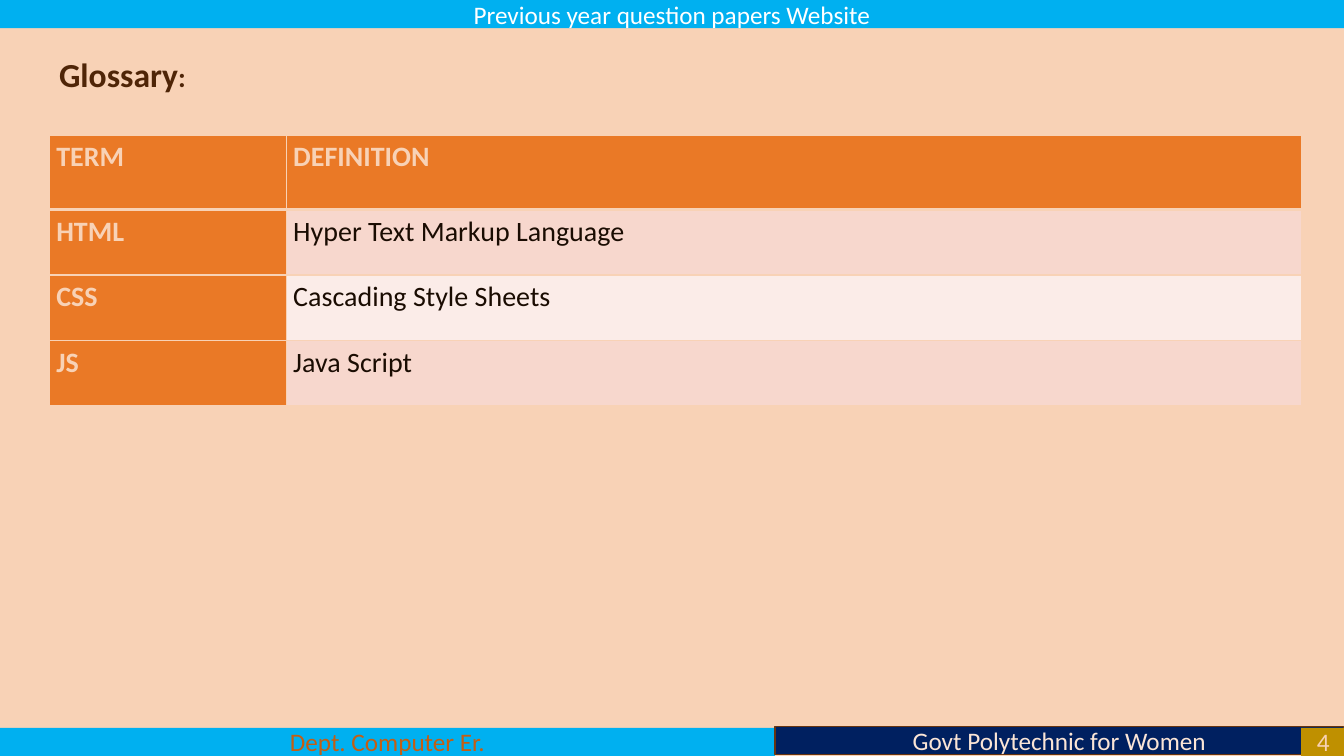
import pptx
import pptx.util
import pptx.dml.color
import pptx.enum.shapes
import pptx.enum.text
from lxml import etree

Cm, Pt = pptx.util.Cm, pptx.util.Pt
RGB = pptx.dml.color.RGBColor
ALIGN = pptx.enum.text.PP_ALIGN
ANCHOR = pptx.enum.text.MSO_ANCHOR
RECT = pptx.enum.shapes.MSO_SHAPE.RECTANGLE
NS = "http://schemas.openxmlformats.org/drawingml/2006/main"

PEACH = RGB(0xF8, 0xD2, 0xB6)
WHITE = RGB(0xFF, 0xFF, 0xFF)
SKY = RGB(0x00, 0xB0, 0xF0)
NAVY = RGB(0x00, 0x20, 0x60)
GOLD = RGB(0xBF, 0x90, 0x00)
RUST = RGB(0xC4, 0x5E, 0x13)
CREAM = RGB(0xFB, 0xE5, 0xD6)
EDGE = RGB(0x67, 0x35, 0x11)
BROWN = RGB(0x4F, 0x25, 0x07)
ORANGE = RGB(0xEA, 0x79, 0x26)
INK = RGB(0x1A, 0x0C, 0x02)
BANDS = [RGB(0xFB, 0xEC, 0xE8), RGB(0xF7, 0xD7, 0xCD)]

FONT = "Calibri"
WIDE, HIGH = 33.87, 19.05
BAR = 0.71
LEFT = 1.24

# text, left, top, width, fill, text colour, outline
BARS = [
    ("Previous year question papers Website", 0, 0, WIDE, SKY, WHITE, None),
    ("Dept. Computer Er.", 0, HIGH - BAR, 19.53, SKY, RUST, None),
    ("Govt Polytechnic for Women", 19.53, 18.31, 14.33, NAVY, CREAM, EDGE),
    ("4", 32.79, HIGH - BAR, 1.12, GOLD, PEACH, None),
]
TITLE = [("Glossary", 24), (":", 20)]
TERMS = [
    ("TERM", "DEFINITION"),
    ("HTML", "Hyper Text Markup Language"),
    ("CSS", "Cascading Style Sheets"),
    ("JS", "Java Script"),
]
COLS = [5.97, 25.6]
ROWS = [1.88] + [1.65] * (len(TERMS) - 1)


def add_run(para, text, size, color, bold=False):
    run = para.add_run()
    run.text = text
    font = run.font
    font.name, font.size, font.bold = FONT, Pt(size), bold
    font.color.rgb = color


def add_bar(slide, text, left, top, width, fill, color, edge):
    bar = slide.shapes.add_shape(RECT, Cm(left), Cm(top), Cm(width), Cm(BAR))
    bar.shadow.inherit = False
    bar.fill.solid()
    bar.fill.fore_color.rgb = fill
    if edge:
        bar.line.color.rgb = edge
        bar.line.width = Pt(1)
    else:
        bar.line.fill.background()
    frame = bar.text_frame
    frame.word_wrap = True
    frame.vertical_anchor = ANCHOR.MIDDLE
    para = frame.paragraphs[0]
    para.alignment = ALIGN.CENTER
    add_run(para, text, 18, color)


def add_title(slide):
    box = slide.shapes.add_textbox(Cm(LEFT), Cm(LEFT), Cm(5.84), Cm(2.06))
    frame = box.text_frame
    frame.word_wrap = True
    for text, size in TITLE:
        add_run(frame.paragraphs[0], text, size, BROWN, True)


def set_edges(cell, top, base):
    """Rule a cell on all sides; top and base are widths in points."""
    props = cell._tc.get_or_add_tcPr()
    sides = [("lnL", 1), ("lnR", 1), ("lnT", top), ("lnB", base)]
    for spot, (tag, width) in enumerate(sides):
        line = etree.Element(f"{{{NS}}}{tag}", w=str(Pt(width)))
        fill = etree.SubElement(line, f"{{{NS}}}solidFill")
        etree.SubElement(fill, f"{{{NS}}}srgbClr", val=str(PEACH))
        props.insert(spot, line)


def add_terms(slide):
    table = slide.shapes.add_table(
        len(ROWS), len(COLS), Cm(LEFT), Cm(3.4), Cm(sum(COLS)), Cm(sum(ROWS))
    ).table
    for col, width in zip(table.columns, COLS):
        col.width = Cm(width)
    for r, (row, high) in enumerate(zip(table.rows, ROWS)):
        row.height = Cm(high)
        for c, text in enumerate(TERMS[r]):
            head = r == 0 or c == 0
            cell = table.cell(r, c)
            cell.fill.solid()
            cell.fill.fore_color.rgb = ORANGE if head else BANDS[r % 2]
            cell.margin_left = cell.margin_right = Cm(0.18)
            cell.margin_top = cell.margin_bottom = 0
            para = cell.text_frame.paragraphs[0]
            para.line_spacing = 1.15
            para.space_after = Pt(10)
            add_run(para, text, 20, PEACH if head else INK, head)
            set_edges(cell, 3 if r == 1 else 1, 3 if r == 0 else 1)


def main():
    deck = pptx.Presentation()
    deck.slide_width, deck.slide_height = Cm(WIDE), Cm(HIGH)
    slide = deck.slides.add_slide(deck.slide_layouts[6])
    slide.background.fill.solid()
    slide.background.fill.fore_color.rgb = PEACH
    for bar in BARS:
        add_bar(slide, *bar)
    add_terms(slide)
    add_title(slide)
    deck.save("out.pptx")


if __name__ == "__main__":
    main()
